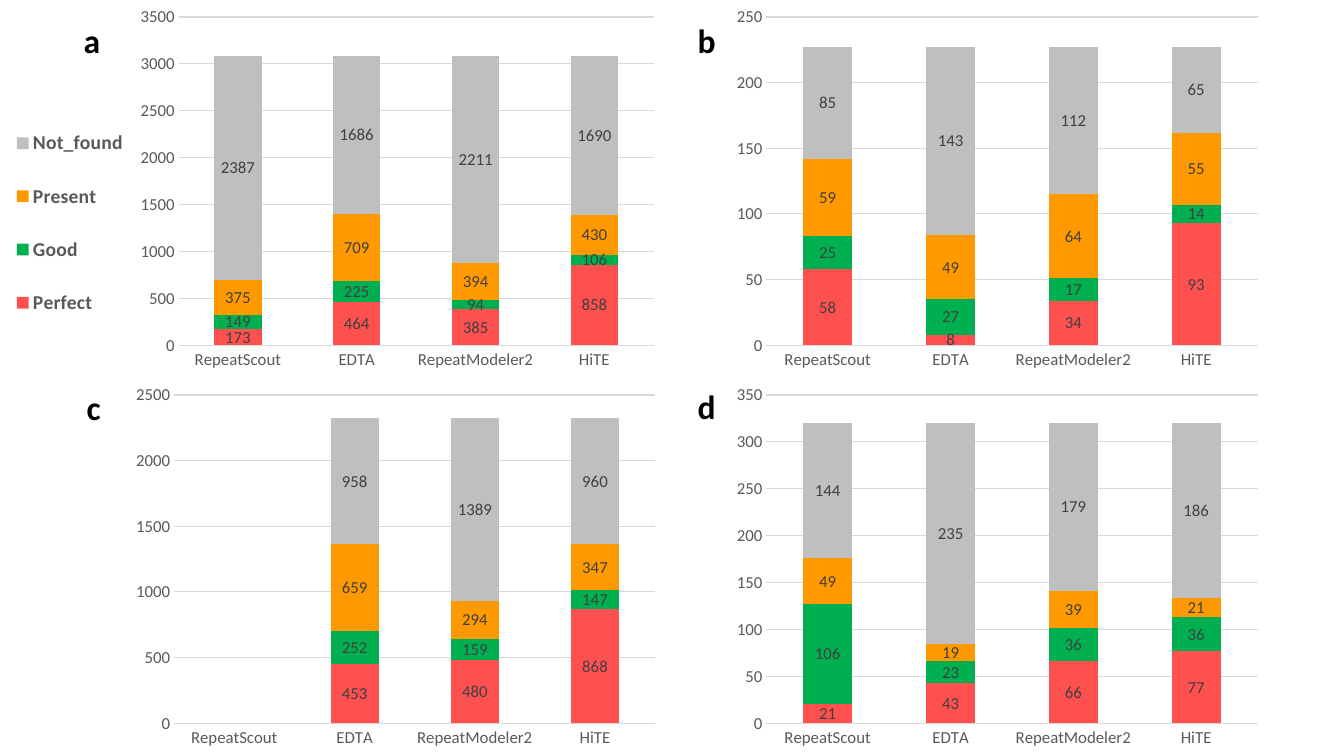
from lxml import etree
from pptx import Presentation
from pptx.chart.data import CategoryChartData
from pptx.dml.color import RGBColor
from pptx.enum import chart as ch
from pptx.oxml.ns import qn
from pptx.util import Inches, Pt

BLACK = RGBColor(0, 0, 0)
DARK = RGBColor(0x40, 0x40, 0x40)
GREY = RGBColor(0x59, 0x59, 0x59)
RULE = RGBColor(0xD9, 0xD9, 0xD9)
GRADES = [
    ("Perfect", RGBColor(0xFF, 0x50, 0x50)),
    ("Good", RGBColor(0x00, 0xB0, 0x50)),
    ("Present", RGBColor(0xFF, 0x99, 0x00)),
    ("Not_found", RGBColor(0xBF, 0xBF, 0xBF)),
]
TOOLS = ["RepeatScout", "EDTA", "RepeatModeler2", "HiTE"]
HIGH = 3.75  # height of each panel

# letter, letter position, chart left, top and width, plot left and right,
# axis top and step, one row of values per grade
PANELS = [
    ("a", (0.73, 0.15), (0, 0, 6.61), (1.77, 6.48), (3500, 500),
     [(173, 464, 385, 858), (149, 225, 94, 106),
      (375, 709, 394, 430), (2387, 1686, 2211, 1690)]),
    ("b", (6.82, 0.15), (7.21, 0, 5.36), (7.6, 12.47), (250, 50),
     [(58, 8, 34, 93), (25, 27, 17, 14),
      (59, 49, 64, 55), (85, 143, 112, 65)]),
    ("c", (0.76, 3.79), (1.24, HIGH, 5.36), (1.73, 6.5), (2500, 500),
     [(None, 453, 480, 868), (None, 252, 159, 147),
      (None, 659, 294, 347), (None, 958, 1389, 960)]),
    ("d", (6.82, 3.78), (7.21, HIGH, 5.36), (7.6, 12.47), (350, 50),
     [(21, 43, 66, 77), (106, 23, 36, 36),
      (49, 19, 39, 21), (144, 235, 179, 186)]),
]


def style(font, size, color, bold=False):
    font.name, font.size, font.bold = "Calibri", Pt(size), bold
    font.color.rgb = color


def place(part, index, box, inner=False):
    """Fix a chart part at box: x, y, w, h as shares of the chart."""
    for old in part.findall(qn("c:layout")):
        part.remove(old)
    layout = etree.Element(qn("c:layout"))
    manual = etree.SubElement(layout, qn("c:manualLayout"))
    rules = [("layoutTarget", "inner")] if inner else []
    rules += [("xMode", "edge"), ("yMode", "edge")]
    rules += [(key, f"{share:.3f}") for key, share in zip("xywh", box)]
    for key, val in rules:
        etree.SubElement(manual, qn("c:" + key)).set("val", val)
    part.insert(index, layout)


deck = Presentation()
deck.slide_width, deck.slide_height = Inches(13.33), Inches(7.5)
slide = deck.slides.add_slide(deck.slide_layouts[6])

for letter, spot, (left, top, width), (start, end), (peak, step), rows in PANELS:
    data = CategoryChartData()
    data.categories = TOOLS
    for (grade, _), row in zip(GRADES, rows):
        data.add_series(grade, row)
    chart = slide.shapes.add_chart(
        ch.XL_CHART_TYPE.COLUMN_STACKED, Inches(left), Inches(top),
        Inches(width), Inches(HIGH), data).chart
    style(chart.font, 10, BLACK)
    chart.has_title = False

    plot = chart.plots[0]
    plot.gap_width, plot.overlap = 150, 100
    plot.vary_by_categories = False
    for series, (_, color) in zip(plot.series, GRADES):
        series.format.fill.solid()
        series.format.fill.fore_color.rgb = color
        labels = series.data_labels
        labels.show_value = True
        labels.position = ch.XL_LABEL_POSITION.CENTER
        style(labels.font, 12, DARK)

    cats, vals = chart.category_axis, chart.value_axis
    for axis in (cats, vals):
        axis.major_tick_mark = axis.minor_tick_mark = ch.XL_TICK_MARK.NONE
        style(axis.tick_labels.font, 12, GREY)
    vals.minimum_scale, vals.maximum_scale, vals.major_unit = 0, peak, step
    vals.format.line.fill.background()
    for line in (cats.format.line, vals.major_gridlines.format.line):
        line.color.rgb, line.width = RULE, Pt(0.75)
    area = chart.element.find(".//" + qn("c:plotArea"))
    place(area, 0, ((start - left) / width, 0.17 / HIGH,
                    (end - start) / width, 3.26 / HIGH), inner=True)

    chart.has_legend = letter == "a"
    if chart.has_legend:
        legend = chart.legend
        legend.position = ch.XL_LEGEND_POSITION.LEFT
        legend.include_in_layout = False
        style(legend.font, 14, GREY, bold=True)
        place(chart.element.find(".//" + qn("c:legend")), 1,
              (0.02, 0.27, 0.17, 0.64))

    x, y = spot
    box = slide.shapes.add_textbox(Inches(x), Inches(y), Inches(0.52), Inches(0.5))
    box.text_frame.word_wrap = True
    run = box.text_frame.paragraphs[0].add_run()
    run.text = letter
    style(run.font, 24, BLACK, bold=True)

deck.save("out.pptx")
